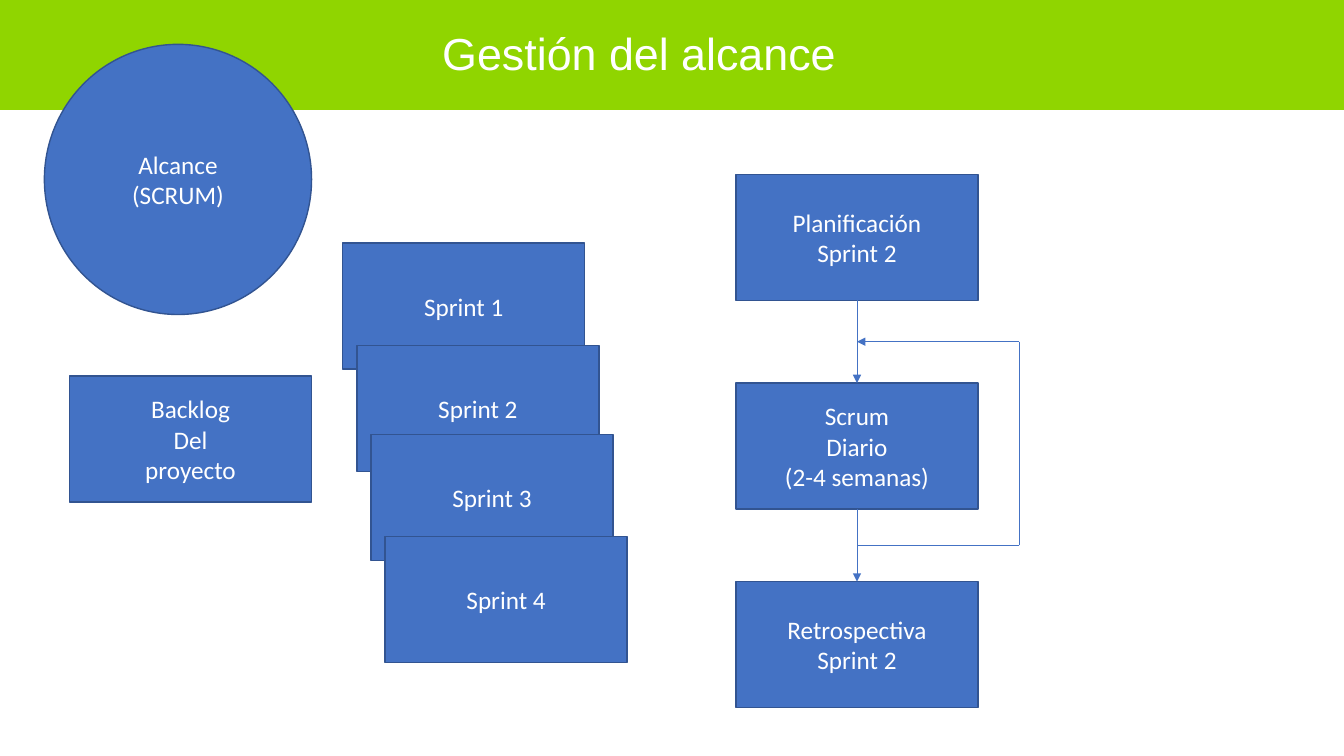
"""Build the scope management slide with its Scrum sprint flow."""
import pptx
import pptx.util
import pptx.dml.color
import pptx.enum.shapes
import pptx.enum.text
import pptx.oxml
import pptx.oxml.ns
from dataclasses import dataclass

Inches, Pt = pptx.util.Inches, pptx.util.Pt
RGB = pptx.dml.color.RGBColor.from_string
SHAPE = pptx.enum.shapes.MSO_SHAPE
STRAIGHT = pptx.enum.shapes.MSO_CONNECTOR.STRAIGHT
CENTER = pptx.enum.text.PP_ALIGN.CENTER
ANCHOR = pptx.enum.text.MSO_ANCHOR


@dataclass(frozen=True)
class Theme:
    banner: str = "90D500"
    fill: str = "4472C4"
    border: str = "325491"
    text: str = "FFFFFF"
    title_font: str = "Arial"
    body_font: str = "Calibri"
    title_size: int = 32
    body_size: int = 18
    border_width: float = 1
    line_width: float = 0.5


theme = Theme()
prs = pptx.Presentation()
prs.slide_width, prs.slide_height = Inches(13.33), Inches(7.5)
s = prs.slides.add_slide(prs.slide_layouts[6])


def add_node(kind, left, top, width, height, lines):
    sp = s.shapes.add_shape(kind, Inches(left), Inches(top), Inches(width), Inches(height))
    sp.shadow.inherit = False
    sp.fill.solid()
    sp.fill.fore_color.rgb = RGB(theme.fill)
    sp.line.color.rgb = RGB(theme.border)
    sp.line.width = Pt(theme.border_width)
    tf = sp.text_frame
    tf.word_wrap = True
    tf.vertical_anchor = ANCHOR.MIDDLE
    for i, line in enumerate(lines):
        p = tf.add_paragraph() if i else tf.paragraphs[0]
        p.alignment = CENTER
        r = p.add_run()
        r.text = line
        r.font.name = theme.body_font
        r.font.size = Pt(theme.body_size)
        r.font.color.rgb = RGB(theme.text)
    return sp


def add_line(x1, y1, x2, y2, arrow):
    cn = s.shapes.add_connector(STRAIGHT, Inches(x1), Inches(y1), Inches(x2), Inches(y2))
    cn.line.color.rgb = RGB(theme.fill)
    cn.line.width = Pt(theme.line_width)
    if arrow:
        ln = cn.line._get_or_add_ln()
        ln.append(pptx.oxml.parse_xml(f'<a:tailEnd {pptx.oxml.ns.nsdecls("a")} type="triangle"/>'))
    cn._element.spPr.append(pptx.oxml.parse_xml(f'<a:effectLst {pptx.oxml.ns.nsdecls("a")}/>'))
    return cn


banner = s.shapes.add_shape(SHAPE.RECTANGLE, 0, 0, prs.slide_width, Inches(1.09))
banner.shadow.inherit = False
banner.fill.solid()
banner.fill.fore_color.rgb = RGB(theme.banner)
banner.line.fill.background()

title = s.shapes.add_textbox(Inches(1.68), Inches(0.27), Inches(9.32), Inches(0.74))
tf = title.text_frame
tf.word_wrap = True
p = tf.paragraphs[0]
p.alignment = CENTER
p.line_spacing = 0.9
r = p.add_run()
r.text = "Gestión del alcance"
r.font.name = theme.title_font
r.font.size = Pt(theme.title_size)
r.font.color.rgb = RGB(theme.text)

box_w, box_h = 2.4, 1.25
add_node(SHAPE.OVAL, 0.44, 0.44, 2.65, 2.68, ["Alcance", "(SCRUM)"])
add_node(SHAPE.RECTANGLE, 0.69, 3.73, box_w, box_h, ["Backlog", "Del", "proyecto"])

for i, top in enumerate([2.41, 3.43, 4.31, 5.32]):
    add_node(SHAPE.RECTANGLE, 3.4 + 0.14 * i, top, box_w, box_h, [f"Sprint {i + 1}"])

flow_left = 7.3
flow_mid = flow_left + box_w / 2
flow = [
    (1.73, ["Planificación", "Sprint 2"]),
    (3.8, ["Scrum", "Diario", "(2-4 semanas)"]),
    (5.77, ["Retrospectiva", "Sprint 2"]),
]
steps = [add_node(SHAPE.RECTANGLE, flow_left, top, box_w, box_h, lines) for top, lines in flow]
for upper, lower in zip(steps, steps[1:]):
    cn = add_line(flow_mid, 0, flow_mid, 1, True)
    cn.begin_connect(upper, 2)
    cn.end_connect(lower, 0)

loop_right, loop_top, loop_bottom = 10.11, 3.39, 5.41
add_line(loop_right, loop_bottom, flow_mid, loop_bottom, False)
add_line(loop_right, loop_bottom, loop_right, loop_top, False)
add_line(loop_right, loop_top, flow_mid, loop_top, True)

prs.save("out.pptx")
